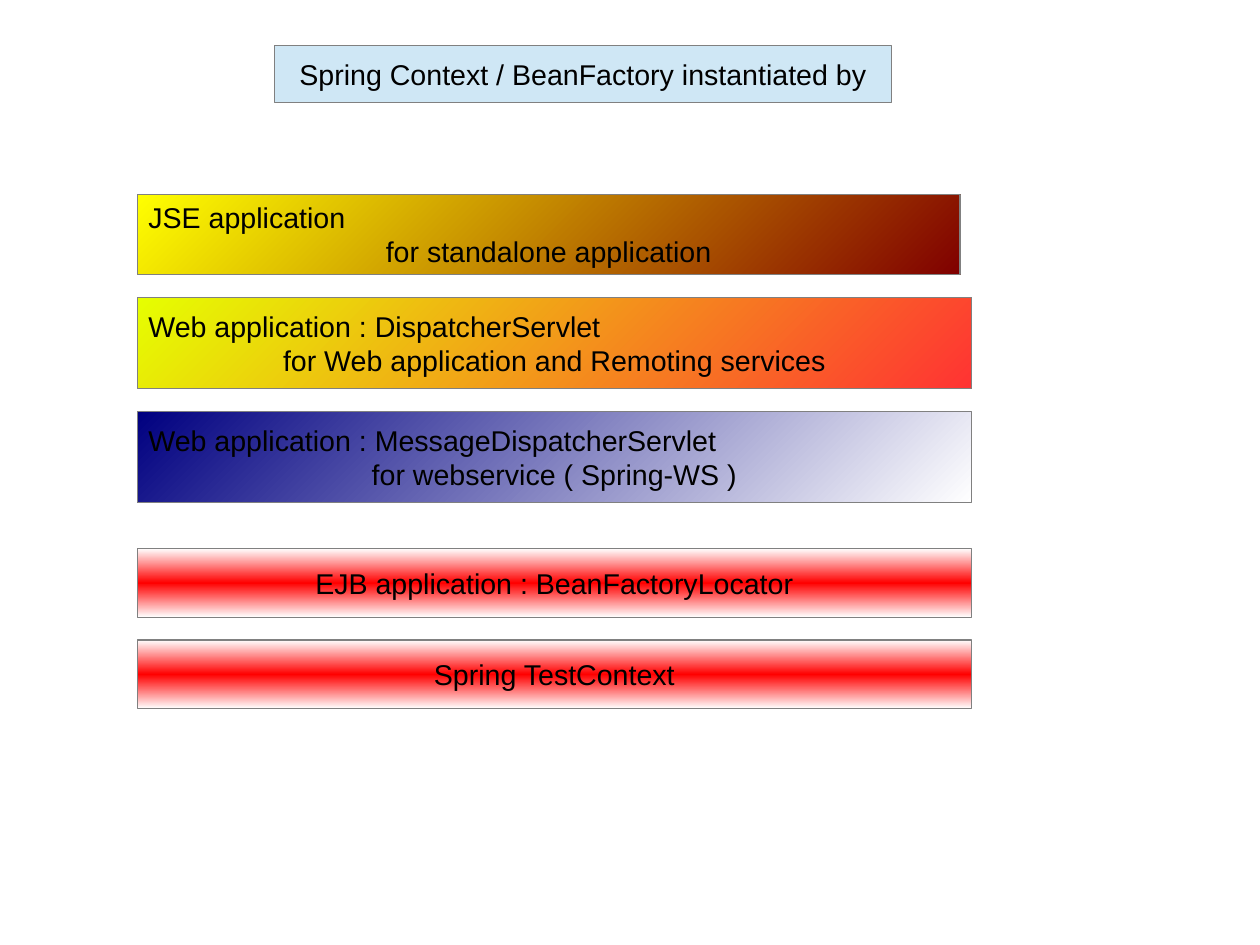
from copy import deepcopy

from pptx import Presentation
from pptx.dml.color import RGBColor
from pptx.enum.shapes import MSO_SHAPE as Shape
from pptx.enum.text import MSO_ANCHOR as Anchor, PP_ALIGN as Align
from pptx.oxml.ns import qn
from pptx.util import Inches, Pt

BLACK = RGBColor(0x00, 0x00, 0x00)
WHITE = RGBColor(0xFF, 0xFF, 0xFF)
GREY = RGBColor(0x80, 0x80, 0x80)
PALE_BLUE = RGBColor(0xCF, 0xE7, 0xF5)
YELLOW = RGBColor(0xFF, 0xFF, 0x00)
MAROON = RGBColor(0x80, 0x00, 0x00)
LIME = RGBColor(0xE6, 0xFF, 0x00)
CORAL = RGBColor(0xFF, 0x33, 0x33)
NAVY = RGBColor(0x00, 0x00, 0x80)
RED = RGBColor(0xFF, 0x00, 0x00)

CM_PER_INCH = 2.54
PAGE_WIDTH, PAGE_HEIGHT = 28 / CM_PER_INCH, 21 / CM_PER_INCH

DIAGONAL, DOWNWARD = 315, 270  # counter-clockwise degrees
RED_GLOW = (WHITE, RED, WHITE)

TITLE = "Spring Context / BeanFactory instantiated by"
# lines, width, height, gap below, gradient colours, gradient angle
BANDS = [
    (["JSE application", "for standalone application"],
     7.2, 0.7, 0.2, (YELLOW, MAROON), DIAGONAL),
    (["Web application : DispatcherServlet",
      "for Web application and Remoting services"],
     7.3, 0.8, 0.2, (LIME, CORAL), DIAGONAL),
    (["Web application : MessageDispatcherServlet",
      "for webservice ( Spring-WS )"],
     7.3, 0.8, 0.4, (NAVY, WHITE), DIAGONAL),
    (["EJB application : BeanFactoryLocator"],
     7.3, 0.6, 0.2, RED_GLOW, DOWNWARD),
    (["Spring TestContext"], 7.3, 0.6, 0.2, RED_GLOW, DOWNWARD),
]
BAND_LEFT, FIRST_BAND_TOP = 1.2, 1.7


def add_box(page, lines, left, top, width, height):
    """Add a grey-edged box; the last line is centred, earlier ones go left."""
    box = page.shapes.add_shape(Shape.RECTANGLE, *map(Inches, (left, top, width, height)))
    box.shadow.inherit = False
    box.line.color.rgb = GREY
    box.line.width = Pt(0.75)
    frame = box.text_frame
    frame.word_wrap = True
    frame.vertical_anchor = Anchor.MIDDLE
    frame.text = "\n".join(lines)
    for para in frame.paragraphs:
        para.alignment = Align.LEFT
        for span in para.runs:
            span.font.name = "Arial"
            span.font.size = Pt(18)
            span.font.color.rgb = BLACK
    frame.paragraphs[-1].alignment = Align.CENTER
    return box


def fill_gradient(box, colours, angle):
    """Spread the colours evenly along the given angle."""
    box.fill.gradient()
    box.fill.gradient_angle = angle
    stop_list = box.element.spPr.find(qn("a:gradFill")).find(qn("a:gsLst"))
    while len(stop_list) < len(colours):
        stop_list.append(deepcopy(stop_list[-1]))
    for index, (stop, colour) in enumerate(zip(box.fill.gradient_stops, colours)):
        stop.position = index / (len(colours) - 1)
        stop.color.rgb = colour


def main():
    deck = Presentation()
    deck.slide_width, deck.slide_height = Inches(PAGE_WIDTH), Inches(PAGE_HEIGHT)
    page = deck.slides.add_slide(deck.slide_layouts[6])

    title = add_box(page, [TITLE], 2.4, 0.4, 5.4, 0.5)
    title.fill.solid()
    title.fill.fore_color.rgb = PALE_BLUE

    top = FIRST_BAND_TOP
    for lines, width, height, gap, colours, angle in BANDS:
        band = add_box(page, lines, BAND_LEFT, top, width, height)
        fill_gradient(band, colours, angle)
        top += height + gap

    deck.save("out.pptx")


if __name__ == "__main__":
    main()
